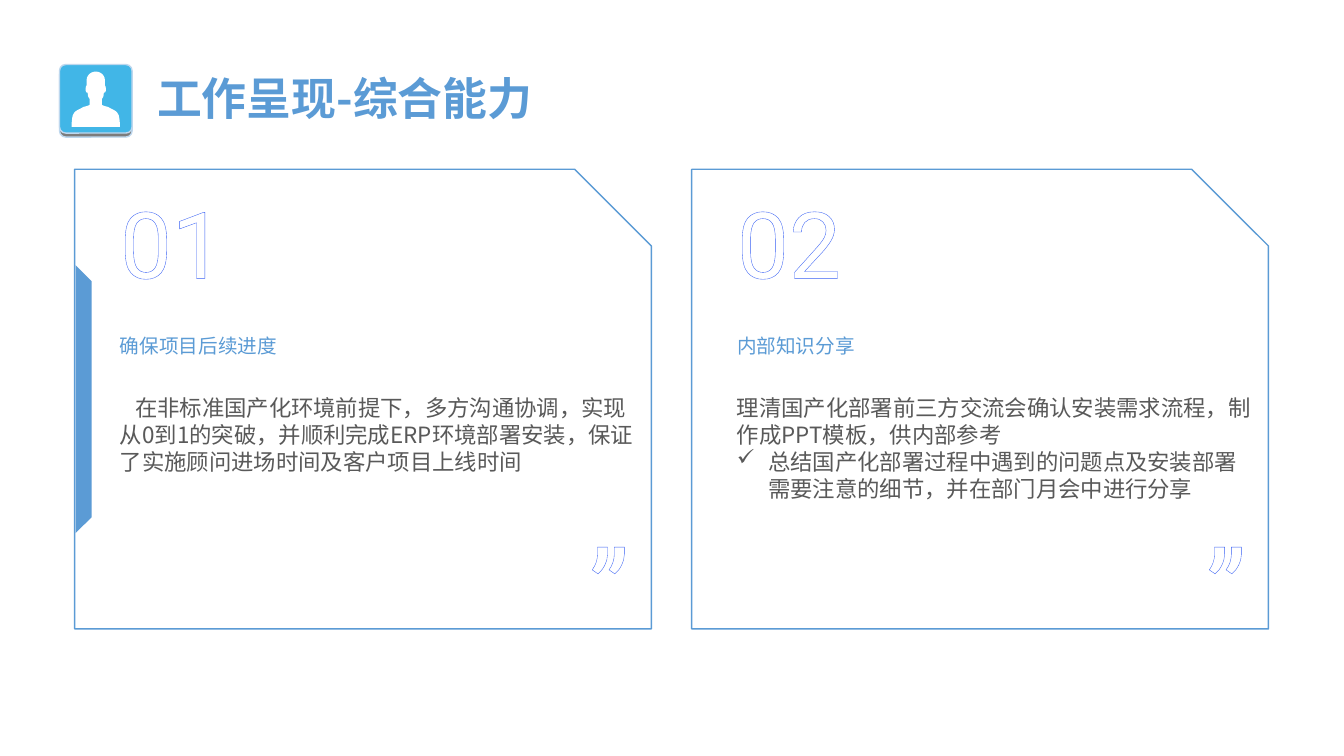
"""Build the work presentation slide with two numbered cards."""
from lxml import etree
from pptx import Presentation
from pptx.dml.color import RGBColor
from pptx.enum import shapes, text
from pptx.oxml import ns
from pptx.util import Inches, Pt

BLUE = RGBColor(0x5B, 0x9B, 0xD5)
PALE = RGBColor(0xBD, 0xD7, 0xEE)
SKY = RGBColor(0x41, 0xB6, 0xE7)
GRAY = RGBColor(0x7C, 0x7C, 0x7C)
INK = RGBColor(0x59, 0x59, 0x59)
OUTLINE = RGBColor(0x38, 0x60, 0xF4)
WHITE = RGBColor(0xFF, 0xFF, 0xFF)
SANS, ROBOTO = "Noto Sans CJK SC", "Roboto"

TITLE = "工作呈现-综合能力"
CARDS = [
    {"number": "01", "heading": "确保项目后续进度", "first_indent": 0.15, "bullets": (),
     "body": ["在非标准国产化环境前提下，多方沟通协调，实现从0到1的突破，"
              "并顺利完成ERP环境部署安装，保证了实施顾问进场时间及客户项目上线时间"]},
    {"number": "02", "heading": "内部知识分享", "first_indent": 0, "bullets": (1,),
     "body": ["理清国产化部署前三方交流会确认安装需求流程，制作成PPT模板，供内部参考",
              "总结国产化部署过程中遇到的问题点及安装部署需要注意的细节，并在部门月会中进行分享"]},
]
CARD_LEFT, CARD_TOP, CARD_W, CARD_H, CARD_STEP = 0.74, 1.68, 5.72, 4.56, 6.12
PERSON_X, PERSON_TOP = 0.95, 0.71
PERSON_HALF = [
    ((0.05, 0.71), (0.09, 0.75), (0.09, 0.79)),
    ((0.09, 0.8), (0.09, 0.83), (0.09, 0.85)),
    ((0.1, 0.85), (0.1, 0.88), (0.1, 0.89)),
    ((0.1, 0.9), (0.1, 0.92), (0.08, 0.92)),
    ((0.08, 0.97), (0.06, 0.98), (0.06, 0.98)),
    ((0.06, 1.04), (0.06, 1.04), (0.06, 1.04)),
    ((0.06, 1.04), (0.07, 1.05), (0.12, 1.06)),
    ((0.17, 1.09), (0.21, 1.1), (0.22, 1.13)),
    ((0.24, 1.15), (0.24, 1.26), (0.24, 1.26)),
]


def add_text(s, content, box, *, size, color, font=SANS, bold=False, outline=None,
             align=text.PP_ALIGN.LEFT, anchor=text.MSO_ANCHOR.TOP, inset=(0, 0),
             spacing=None, first_indent=0, bullets=()):
    tf = s.shapes.add_textbox(*map(Inches, box)).text_frame
    tf.word_wrap = True
    tf.vertical_anchor = anchor
    tf.margin_left = tf.margin_right = Inches(inset[0])
    tf.margin_top = tf.margin_bottom = Inches(inset[1])
    for i, line in enumerate(content if isinstance(content, list) else [content]):
        p = tf.paragraphs[0] if i == 0 else tf.add_paragraph()
        p.alignment = align
        if spacing:
            p.line_spacing = spacing
        pPr = p._p.get_or_add_pPr()
        if i in bullets:
            pPr.set("marL", str(Inches(0.31)))
            pPr.set("indent", str(-Inches(0.31)))
            etree.SubElement(pPr, ns.qn("a:buChar")).set("char", "✓")
        elif first_indent:
            pPr.set("indent", str(Inches(first_indent)))
        r = p.add_run()
        r.text = line
        r.font.size, r.font.bold, r.font.name = Pt(size), bold, font
        r.font.color.rgb = color
        rPr = r._r.get_or_add_rPr()
        latin = rPr.find(ns.qn("a:latin"))
        ea = etree.Element(ns.qn("a:ea"), typeface=font)
        latin.addnext(ea)
        if outline:
            ln = etree.Element(ns.qn("a:ln"), w=str(Pt(outline)))
            fill = etree.SubElement(ln, ns.qn("a:solidFill"))
            etree.SubElement(fill, ns.qn("a:srgbClr"), val=str(OUTLINE))
            rPr.insert(0, ln)


def paint(sp, fill, line=None):
    sp.shadow.inherit = False
    sp.fill.solid()
    sp.fill.fore_color.rgb = fill
    if line is None:
        sp.line.fill.background()
    else:
        sp.line.color.rgb = line
        sp.line.width = Pt(1)


def add_shape(s, kind, box, fill, line=None, adj=None):
    sp = s.shapes.add_shape(kind, *map(Inches, box))
    paint(sp, fill, line)
    if adj is not None:
        sp.adjustments[0] = adj
    return sp


def curve(start, segments, steps=6):
    points = [start]
    for a, b, c in segments:
        o = points[-1]
        for k in range(1, steps + 1):
            t = k / steps
            weights = ((1 - t) ** 3, 3 * t * (1 - t) ** 2, 3 * t * t * (1 - t), t ** 3)
            points.append(tuple(sum(w * q[d] for w, q in zip(weights, (o, a, b, c)))
                                for d in (0, 1)))
    return points


def add_person(s):
    for top, fill in ((0.68, GRAY), (0.64, SKY)):
        add_shape(s, shapes.MSO_SHAPE.ROUNDED_RECTANGLE, (0.59, top, 0.72, 0.68),
                  fill, PALE, 0.09)
    half = curve((0, PERSON_TOP), PERSON_HALF)
    points = [(PERSON_X + x, y) for x, y in half]
    points += [(PERSON_X - x, y) for x, y in reversed(half)]
    builder = s.shapes.build_freeform(*map(Inches, points[0]))
    builder.add_line_segments([(Inches(x), Inches(y)) for x, y in points[1:]])
    paint(builder.convert_to_shape(), WHITE)


def add_card(s, card, left):
    inner = left + 0.45
    middle = text.MSO_ANCHOR.MIDDLE
    add_text(s, card["number"], (inner, 1.85, 1.18, 1.09), size=66, color=WHITE,
             font=ROBOTO, outline=1.25, anchor=middle)
    add_text(s, card["heading"], (inner, 2.94, 4.99, 0.97), size=14, color=BLUE,
             font=ROBOTO, anchor=middle)
    add_text(s, card["body"], (inner, 3.91, 5.1, 1.2), size=16, color=INK,
             first_indent=card["first_indent"], bullets=card["bullets"])
    add_text(s, "”", (left + 4.94, 5.15, 0.72, 1.14), size=80, color=WHITE,
             font=ROBOTO, outline=1, align=text.PP_ALIGN.CENTER)


def main():
    prs = Presentation()
    prs.slide_width, prs.slide_height = Inches(13.33), Inches(7.5)
    s = prs.slides.add_slide(prs.slide_layouts[6])
    lefts = [CARD_LEFT + i * CARD_STEP for i in range(len(CARDS))]
    for left in lefts:
        add_shape(s, shapes.MSO_SHAPE.SNIP_1_RECTANGLE,
                  (left, CARD_TOP, CARD_W, CARD_H), WHITE, BLUE)
    stripe = add_shape(s, shapes.MSO_SHAPE.DIAGONAL_STRIPE, (-0.19, 3.02, 1.88, 1.88),
                       BLUE, adj=0.88)
    stripe.rotation = 135
    for card, left in zip(CARDS, lefts):
        add_card(s, card, left)
    add_text(s, TITLE, (1.46, 0.59, 3.97, 0.86), size=32, color=BLUE, bold=True,
             anchor=text.MSO_ANCHOR.MIDDLE, inset=(0.1, 0.05), spacing=0.8)
    add_person(s)
    prs.save("out.pptx")


if __name__ == "__main__":
    main()
